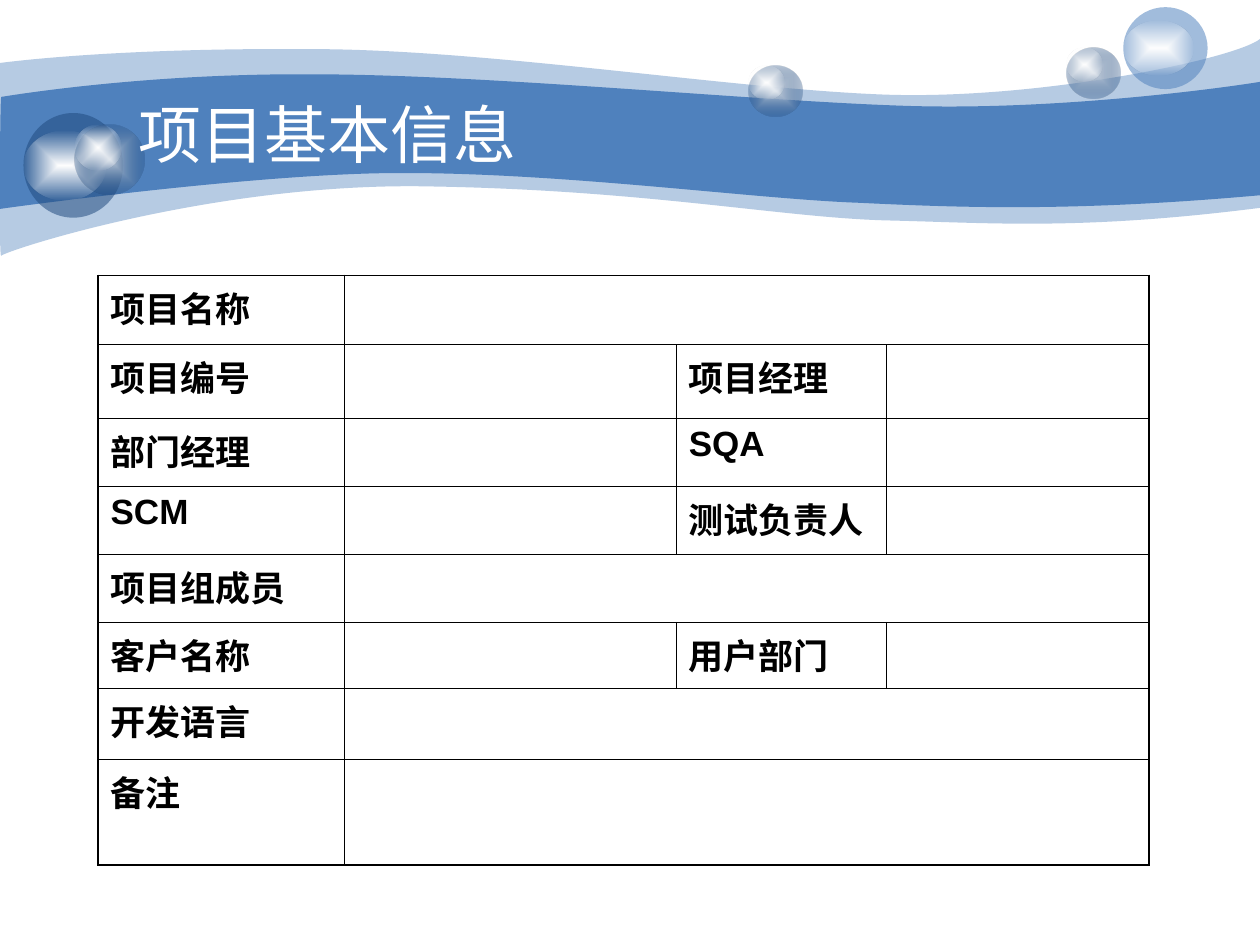
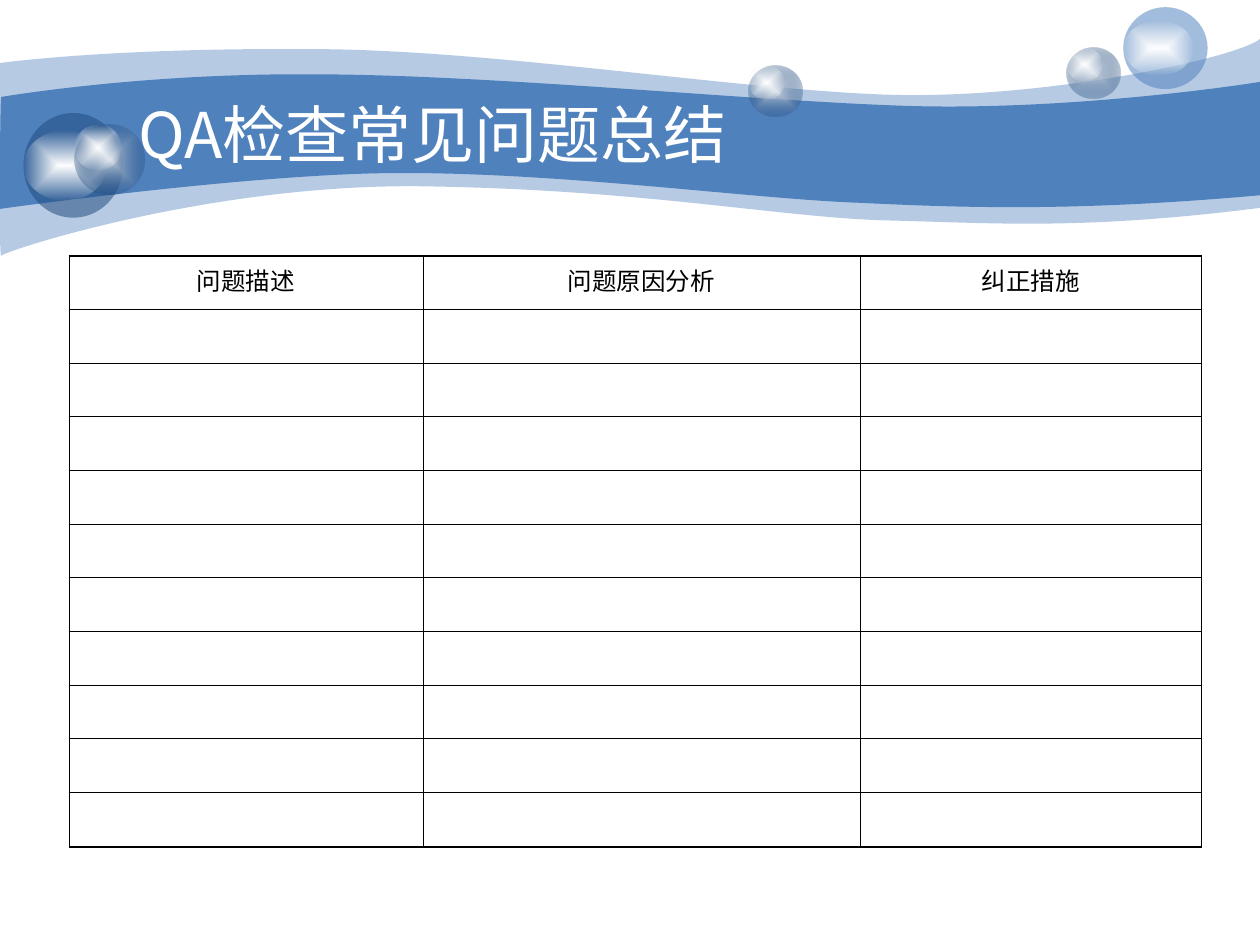
from pptx import Presentation
from pptx.dml.color import RGBColor
from pptx.enum.shapes import MSO_SHAPE
from pptx.enum.text import MSO_ANCHOR, MSO_AUTO_SIZE, PP_ALIGN
from pptx.oxml import parse_xml
from pptx.oxml.ns import nsdecls, qn
from pptx.util import Pt

BLUE = RGBColor(0x4F, 0x81, 0xBD)
NAVY = RGBColor(0x1F, 0x49, 0x7D)
MIST = RGBColor(0xC6, 0xD1, 0xDE)
WHITE = RGBColor(0xFF, 0xFF, 0xFF)
BLACK = RGBColor(0, 0, 0)

CJK_FONT = "Noto Sans CJK SC"
LATIN_FONT = "Arial"
OVAL = MSO_SHAPE.OVAL
MIDDLE = MSO_ANCHOR.MIDDLE
NO_AUTOFIT = MSO_AUTO_SIZE.NONE
LEFT, CENTER = PP_ALIGN.LEFT, PP_ALIGN.CENTER

TITLE_ONLY = 5
NO_TABLE_STYLE = "{2D5ABB26-0587-4C30-8999-92F81FD0307C}"
THIN, THICK = 0.45, 1.08

# Outlines: a start point, then steps of three points (curve) or one (line)
PALE_WAVE = ((0, 36), [
    [(17.3, 33.8), (77, 27.4), (177.8, 28.1)],
    [(277.9, 28.1), (414, 50.4), (503.3, 54)],
    [(591.8, 57.6), (705.6, 33.8), (720, 22.3)],
    [(720, 118.8)],
    [(617.8, 131.8), (566.6, 127.4), (507.6, 126)],
    [(447.8, 124.6), (370.8, 108.7), (247, 106.6)],
    [(123.8, 103.7), (2.9, 143.3), (0.7, 146.2)],
    [(-0.7, 149.8), (0, 54), (0, 36)],
])
DEEP_WAVE = ((0.7, 55.4), [
    [(1.4, 55.4), (79.2, 41.8), (178.6, 42.5)],
    [(277.9, 42.5), (428.4, 57.6), (517, 60.5)],
    [(605.5, 63.4), (702.7, 49.7), (720, 46.8)],
    [(720, 111.6)],
    [(614.2, 121), (550.8, 118.8), (491, 115.9)],
    [(431.3, 113.8), (321.8, 98.6), (228.2, 98.9)],
    [(146.2, 98.9), (-1.4, 119.5), (-0.7, 119.5)],
    [(0, 119.5), (0, 55.4), (0.7, 55.4)],
])


class Deck:
    def __init__(self):
        self.prs = Presentation()
        self.prs.slide_width, self.prs.slide_height = Pt(720), Pt(540)
        self.layout = self.prs.slide_layouts[TITLE_ONLY]
        self.slide = None

    def new_slide(self, title):
        self.slide = self.prs.slides.add_slide(self.layout)
        sp = self.slide.shapes.title
        sp.left, sp.top, sp.width, sp.height = Pt(72), Pt(54), Pt(581.8), Pt(44.6)
        tf = sp.text_frame
        tf.word_wrap = True
        tf.auto_size = NO_AUTOFIT
        tf.vertical_anchor = MIDDLE
        self.text(tf, title, 36, WHITE, CJK_FONT, LEFT)

    def text(self, tf, words, size, color, font, align, bold=False):
        p = tf.paragraphs[0]
        p.alignment = align
        r = p.add_run()
        r.text = words
        r.font.size, r.font.bold, r.font.name = Pt(size), bold, font
        r.font.color.rgb = color
        r.font._element.append(parse_xml(
            f'<a:ea {nsdecls("a")} typeface="{CJK_FONT}"/>'))

    # Fills
    def plain(self, sp, color, alpha=100):
        sp.shadow.inherit = False
        sp.line.fill.background()
        sp.fill.solid()
        sp.fill.fore_color.rgb = color
        if alpha < 100:
            clr = sp.element.spPr.find(qn("a:solidFill"))[0]
            clr.append(parse_xml(
                f'<a:alpha {nsdecls("a")} val="{alpha * 1000}"/>'))

    def glow(self, sp, inner, outer, outer_alpha):
        self.plain(sp, inner)
        spPr = sp.element.spPr
        spPr.replace(spPr.find(qn("a:solidFill")), parse_xml(
            f'<a:gradFill {nsdecls("a")} rotWithShape="1"><a:gsLst>'
            f'<a:gs pos="0"><a:srgbClr val="{inner}"/></a:gs>'
            f'<a:gs pos="100000"><a:srgbClr val="{outer}">'
            f'<a:alpha val="{outer_alpha * 1000}"/></a:srgbClr></a:gs></a:gsLst>'
            '<a:path path="rect"><a:fillToRect l="50000" t="50000" '
            'r="50000" b="50000"/></a:path></a:gradFill>'))

    # Shared decoration
    def wave(self, outline, color, alpha=100):
        """Build the outline, then join each three points into one curve."""
        start, steps = outline
        fb = self.slide.shapes.build_freeform(Pt(start[0]), Pt(start[1]))
        fb.add_line_segments(
            [(Pt(x), Pt(y)) for step in steps for x, y in step], close=True)
        sp = fb.convert_to_shape()
        lines = iter(list(sp.element.iter(qn("a:lnTo"))))
        for step in steps:
            pieces = [next(lines) for _ in step]
            if len(pieces) == 3:
                curve = parse_xml(f'<a:cubicBezTo {nsdecls("a")}/>')
                pieces[0].addprevious(curve)
                for piece in pieces:
                    curve.append(piece[0])
                    piece.getparent().remove(piece)
        self.plain(sp, color, alpha)
        return sp

    def ball(self, x, y, w, h, color=None):
        """A plain ball with a wide gleam, or a shaded one lit at top left."""
        group = self.slide.shapes.add_group_shape()

        def oval(left, top, width, height):
            return group.shapes.add_shape(
                OVAL, Pt(left), Pt(top), Pt(width), Pt(height))

        body = oval(x, y, w, h)
        if color is None:
            self.glow(body, MIST, NAVY, 31)
            gleam = oval(x, y, w * 2 / 3, h * 2 / 3)
        else:
            self.plain(body, color, 53)
            gleam = oval(x, y + h / 6, w * 5 / 6, h * 2 / 3)
        self.glow(gleam, WHITE, WHITE, 0)
        return group

    def decorate_layout(self):
        """Draw the waves and balls, then move them to the shared layout."""
        parts = [
            self.wave(PALE_WAVE, BLUE, 41),
            self.wave(DEEP_WAVE, BLUE),
            self.ball(609.8, 27.2, 30.6, 29),
            self.ball(641.9, 4.1, 48.2, 46.8, BLUE),
            self.ball(13.4, 64.6, 56.9, 59.8, NAVY),
            self.ball(42.5, 71.1, 40, 39.8),
            self.ball(427.7, 37.4, 30.6, 29),
        ]
        for part in parts:
            self.layout.shapes.element.append(part.element)

    # Tables
    def borders(self, cell, left, right, top, bottom):
        tcPr = cell._tc.get_or_add_tcPr()
        for side, width in zip("LRTB", (left, right, top, bottom)):
            tcPr.append(parse_xml(
                f'<a:ln{side} {nsdecls("a")} w="{Pt(width)}"><a:solidFill>'
                f'<a:srgbClr val="{BLACK}"/></a:solidFill></a:ln{side}>'))

    def table(self, x, y, widths, heights, rows, size, align, bold, side_line):
        """A row with one entry has its other columns merged into one."""
        last_row, last_col = len(heights) - 1, len(widths) - 1
        table = self.slide.shapes.add_table(
            len(heights), len(widths), Pt(x), Pt(y),
            Pt(sum(widths)), Pt(sum(heights))).table
        table.first_row = table.horz_banding = False
        table._tbl.tblPr.find(qn("a:tableStyleId")).text = NO_TABLE_STYLE
        for column, width in zip(table.columns, widths):
            column.width = Pt(width)
        for i, (height, words) in enumerate(zip(heights, rows)):
            table.rows[i].height = Pt(height)
            if len(words) == 1:
                table.cell(i, 1).merge(table.cell(i, last_col))
            for j in range(last_col + 1):
                cell = table.cell(i, j)
                if cell.is_spanned:
                    continue
                end = j + (cell.span_width if cell.is_merge_origin else 1) - 1
                self.borders(cell,
                             side_line if j == 0 else THIN,
                             side_line if end == last_col else THIN,
                             THICK if i == 0 else THIN,
                             THICK if i == last_row else THIN)
                cell.fill.background()
                if j < len(words) and words[j]:
                    self.text(cell.text_frame, words[j], size, BLACK,
                              LATIN_FONT, align, bold)


def main():
    deck = Deck()

    # Project information
    deck.new_slide("项目基本信息")
    deck.decorate_layout()
    fields = [
        ("项目名称",),
        ("项目编号", "", "项目经理", ""),
        ("部门经理", "", "SQA", ""),
        ("SCM", "", "测试负责人", ""),
        ("项目组成员",),
        ("客户名称", "", "用户部门", ""),
        ("开发语言",),
        ("备注",),
    ]
    deck.table(56, 157.4, [140.6, 189.8, 120, 150.2],
               [39.5, 42, 38.9, 38.9, 38.9, 37.9, 40.5, 60.3],
               fields, 20, LEFT, True, THICK)

    # QA findings
    deck.new_slide("QA检查常见问题总结")
    findings = [("问题描述", "问题原因分析", "纠正措施")] + [("", "", "")] * 10
    deck.table(39.4, 146.2, [202.3, 249.8, 195], [30.66] * 10 + [31.4],
               findings, 14, CENTER, False, THIN)

    deck.prs.save("out.pptx")


if __name__ == "__main__":
    main()
